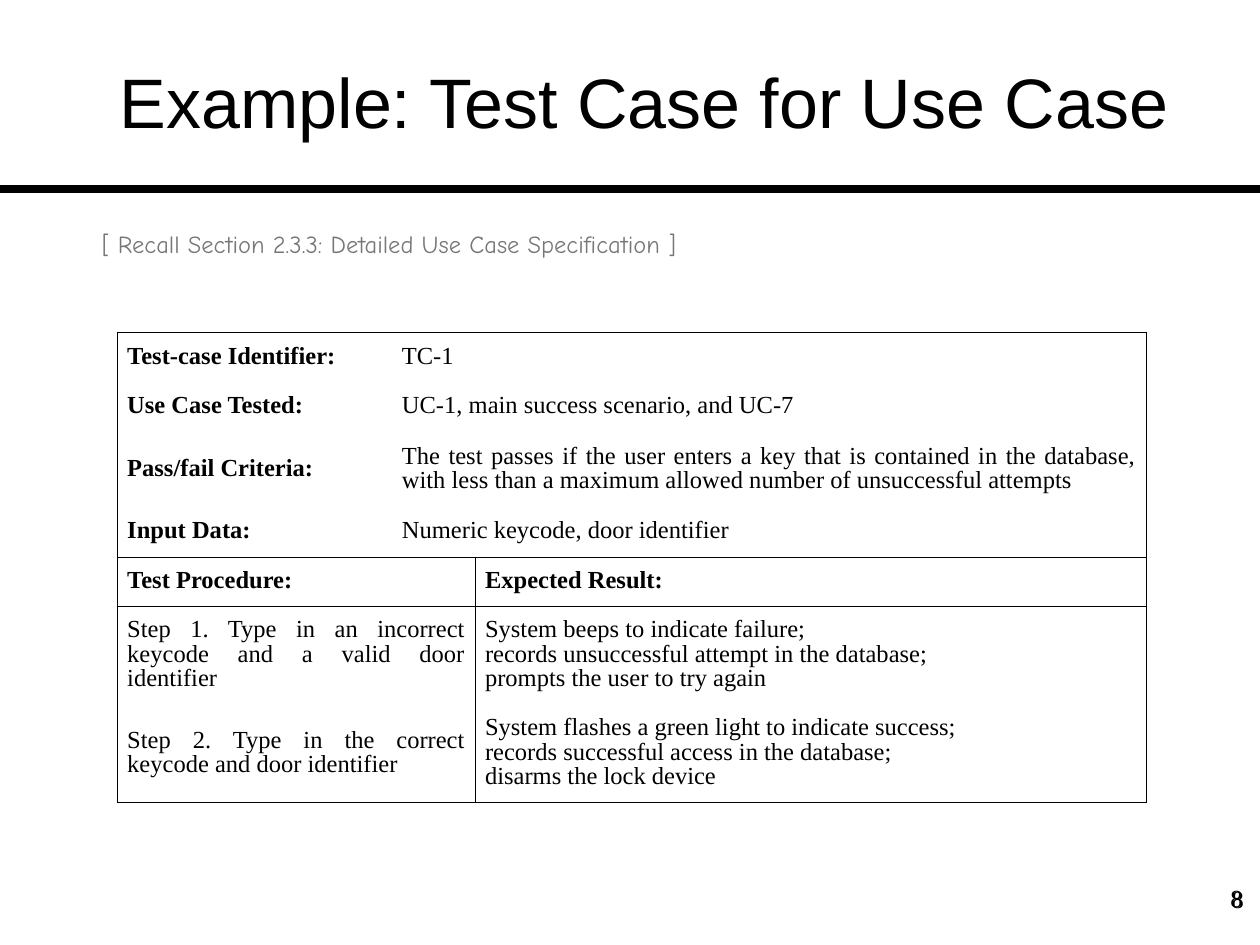
import dataclasses

import lxml.etree
import pptx
import pptx.dml.color
import pptx.enum.shapes
import pptx.enum.text
import pptx.oxml.ns
import pptx.util

Inches = pptx.util.Inches
Pt = pptx.util.Pt
Align = pptx.enum.text.PP_ALIGN
Anchor = pptx.enum.text.MSO_ANCHOR
qn = pptx.oxml.ns.qn

HUES = {"ink": "000000", "note": "777777", "page": "FFFFFF"}
SERIF = "Times New Roman"
COLS = (2.18, 0.66, 5.33)
ROWS = (0.39, 0.4, 0.59, 0.4, 0.39, 0.78, 0.78)
TOPS = {0, 4, 5}
ENDS = {3, 4, 6}
HEAD = 4


@dataclasses.dataclass
class Label:
    text: str
    box: tuple
    size: int
    face: str
    align: Align = Align.LEFT
    hue: str = "ink"
    inset: float = 0.1
    anchor: Anchor = Anchor.TOP
    wrap: bool = True


@dataclasses.dataclass
class Row:
    left: str
    right: str


LABELS = [
    Label("8", (9.44, 6.96, 0.52, 0.5), 14, SERIF, Align.RIGHT),
    Label("Example: Test Case for Use Case", (0.42, 0.17, 9.38, 1.25), 40, "Arial",
          Align.CENTER, inset=0, anchor=Anchor.MIDDLE),
    Label("8", (9.35, 6.97, 0.62, 0.5), 14, SERIF, Align.RIGHT),
    Label("[ Recall Section 2.3.3: Detailed Use Case Specification ]",
          (0.71, 1.77, 4.77, 0.34), 14, "Comic Neue", hue="note", wrap=False),
]

CASES = [
    Row("Test-case Identifier:", "TC-1"),
    Row("Use Case Tested:", "UC-1, main success scenario, and UC-7"),
    Row("Pass/fail Criteria:",
        "The test passes if the user enters a key that is contained in the database, "
        "with less than a maximum allowed number of unsuccessful attempts"),
    Row("Input Data:", "Numeric keycode, door identifier"),
    Row("Test Procedure:", "Expected Result:"),
    Row("Step 1. Type in an incorrect keycode and a valid door identifier",
        "System beeps to indicate failure;\vrecords unsuccessful attempt in the database;"
        "\vprompts the user to try again"),
    Row("Step 2. Type in the correct keycode and door identifier",
        "System flashes a green light to indicate success;"
        "\vrecords successful access in the database;\vdisarms the lock device"),
]


def tint(name: str) -> pptx.dml.color.RGBColor:
    return pptx.dml.color.RGBColor.from_string(HUES[name])


def style(para, face: str, size: int, hue: str, align: Align, bold: bool = False) -> None:
    para.alignment = align
    para.font.name = face
    para.font.size = Pt(size)
    para.font.bold = bold
    para.font.color.rgb = tint(hue)


def draw_label(slide, label: Label) -> None:
    frame = slide.shapes.add_textbox(*map(Inches, label.box)).text_frame
    frame.word_wrap = label.wrap
    frame.vertical_anchor = label.anchor
    frame.margin_left = frame.margin_right = Inches(label.inset)
    frame.text = label.text
    style(frame.paragraphs[0], label.face, label.size, label.hue, label.align)


def draw_rule(slide) -> None:
    line = slide.shapes.add_connector(
        pptx.enum.shapes.MSO_CONNECTOR.STRAIGHT,
        Inches(0), Inches(1.5), Inches(10), Inches(1.5))
    line.line.color.rgb = tint("ink")
    line.line.width = Pt(4.5)
    lxml.etree.SubElement(line._element.spPr, qn("a:effectLst"))


def set_edges(cell, sides: dict) -> None:
    props = cell._tc.get_or_add_tcPr()
    for spot, (side, shown) in enumerate(sides.items()):
        edge = lxml.etree.Element(qn(f"a:ln{side}"), w=str(Pt(0.45)))
        if shown:
            fill = lxml.etree.SubElement(edge, qn("a:solidFill"))
            lxml.etree.SubElement(fill, qn("a:srgbClr"), val=HUES["ink"])
        else:
            lxml.etree.SubElement(edge, qn("a:noFill"))
        props.insert(spot, edge)


def fill_cell(cell, text: str, bold: bool, align: Align) -> None:
    cell.vertical_anchor = Anchor.MIDDLE
    cell.margin_left = cell.margin_right = Inches(0.08)
    cell.margin_top = cell.margin_bottom = Inches(0.05)
    cell.text = text
    para = cell.text_frame.paragraphs[0]
    style(para, SERIF, 14, "ink", align, bold)
    para.line_spacing = Pt(14)
    para.space_before = Pt(6)


def draw_table(slide) -> None:
    table = slide.shapes.add_table(
        len(ROWS), len(COLS), Inches(0.93), Inches(2.64),
        Inches(sum(COLS)), Inches(sum(ROWS))).table
    table.first_row = table.horz_banding = False
    for col, width in zip(table.columns, COLS):
        col.width = Inches(width)
    for num, (row, high) in enumerate(zip(CASES, ROWS)):
        table.rows[num].height = Inches(high)
        split = num >= HEAD
        first = 0 if split else 1
        table.cell(num, first).merge(table.cell(num, first + 1))
        for col in range(len(COLS)):
            cell = table.cell(num, col)
            cell.fill.solid()
            cell.fill.fore_color.rgb = tint("page")
            near = col < (2 if split else 1)
            set_edges(cell, {"L": near or split, "R": split or not near,
                             "T": num in TOPS, "B": num in ENDS})
            if not cell.is_spanned:
                bold = num == HEAD or (near and not split)
                align = Align.LEFT if num > HEAD and not near else Align.JUSTIFY
                fill_cell(cell, row.left if near else row.right, bold, align)


def main() -> None:
    deck = pptx.Presentation()
    deck.slide_width, deck.slide_height = Inches(10), Inches(7.5)
    slide = deck.slides.add_slide(deck.slide_layouts[6])
    draw_rule(slide)
    for label in LABELS[:-1]:
        draw_label(slide, label)
    draw_table(slide)
    draw_label(slide, LABELS[-1])
    deck.save("out.pptx")


if __name__ == "__main__":
    main()
